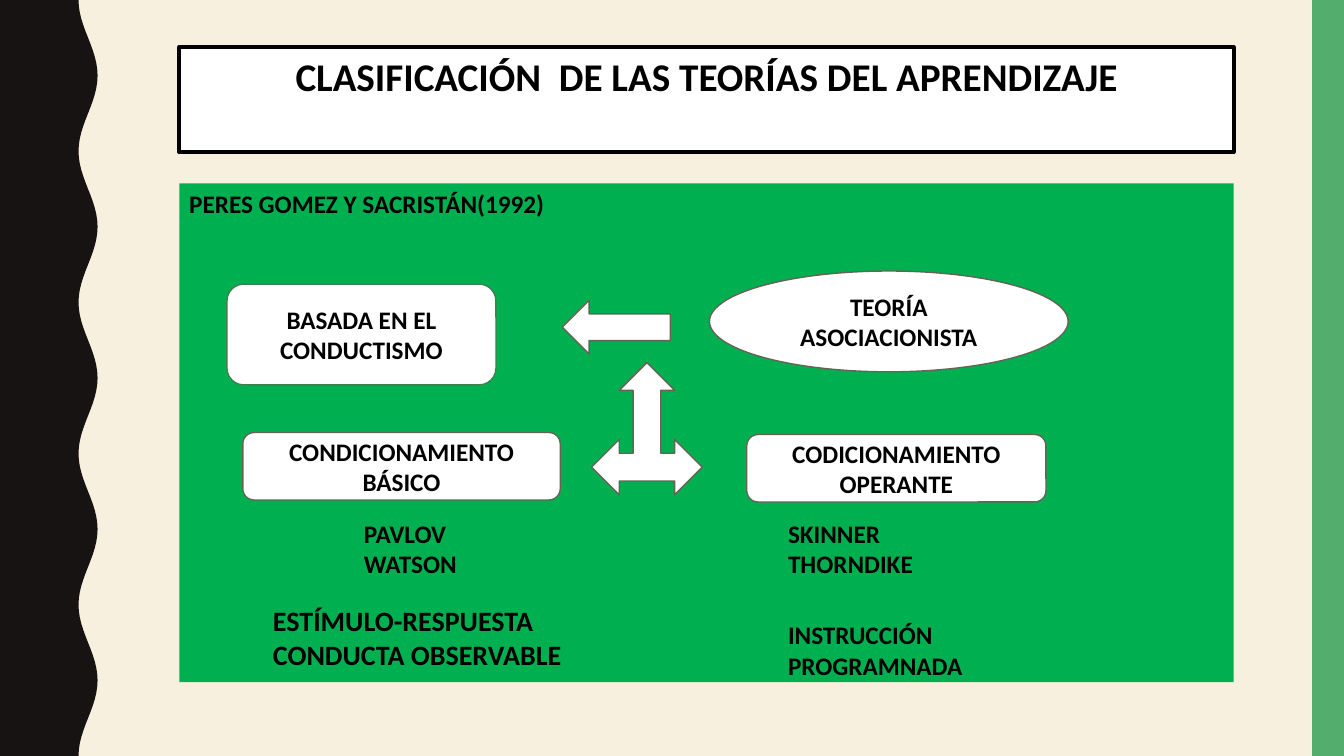
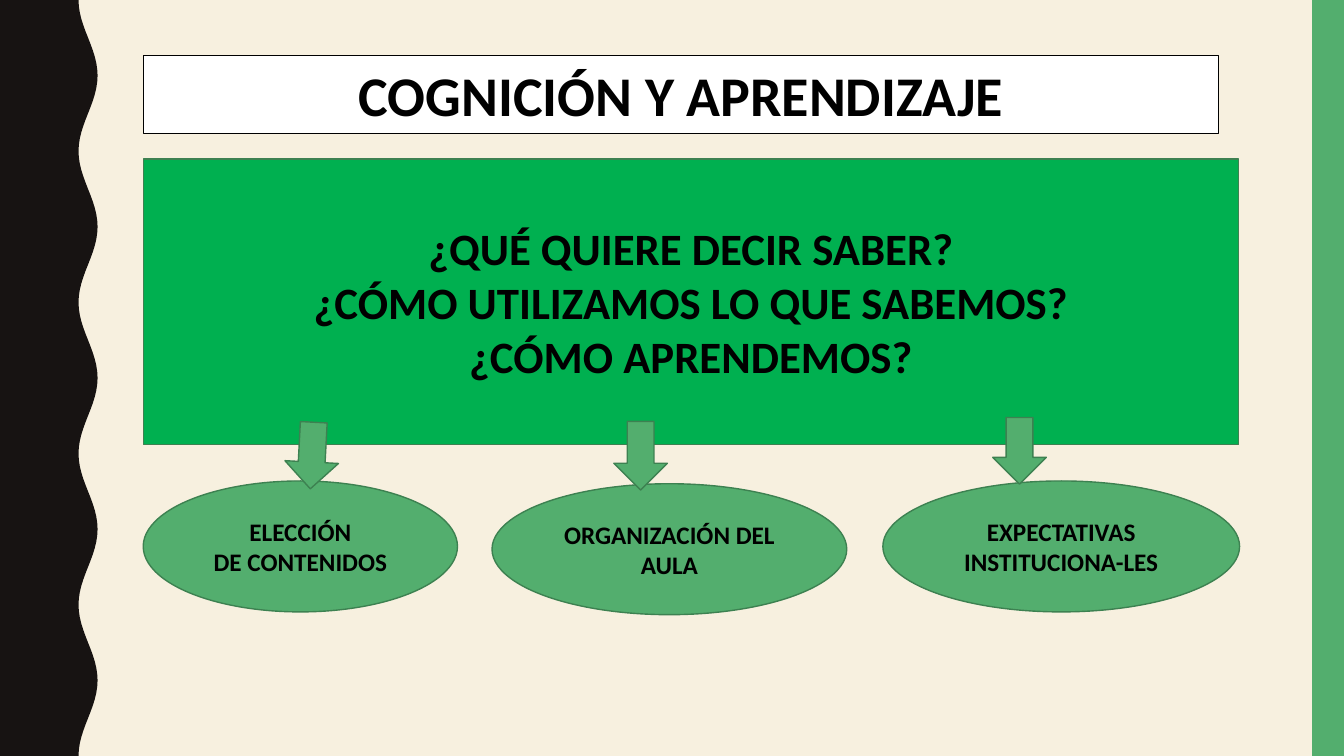
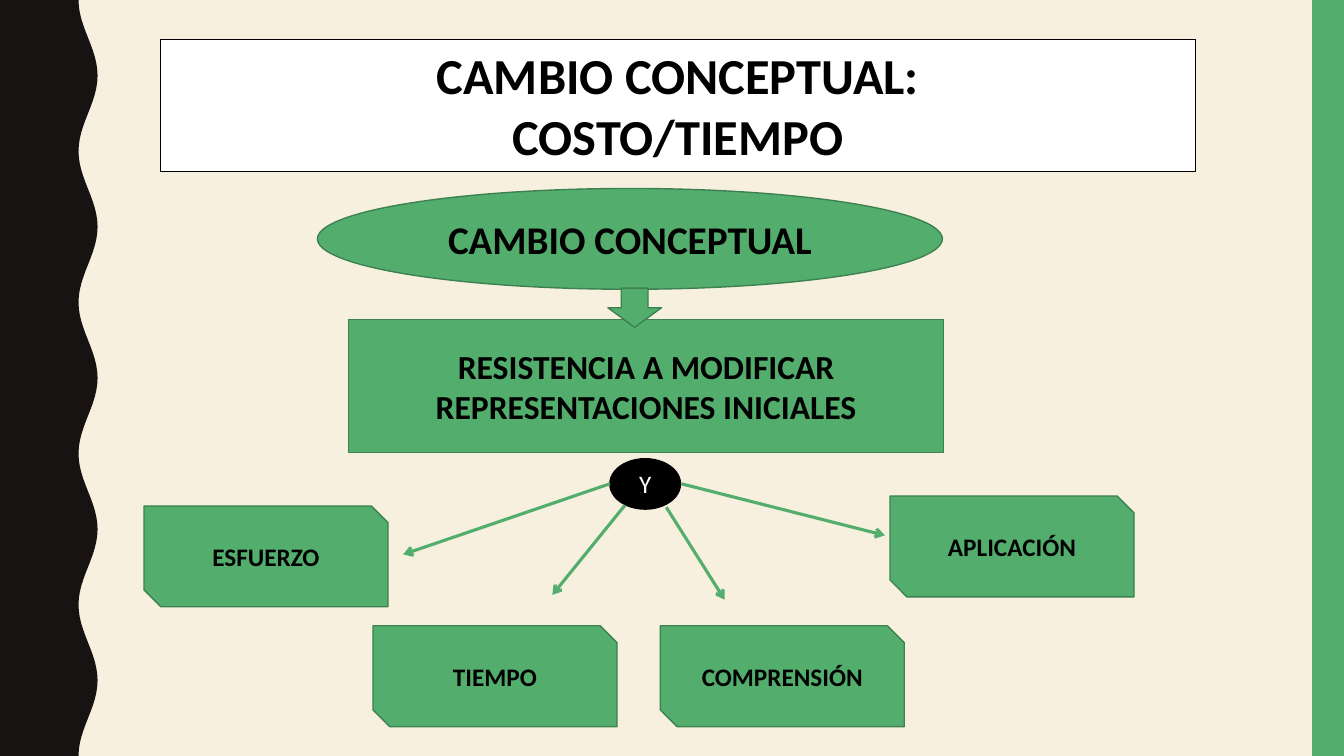
import math

import pptx
import pptx.dml.color
import pptx.enum.shapes
import pptx.enum.text
import pptx.oxml.ns
import pptx.util
from lxml import etree

Cm = pptx.util.Cm
Pt = pptx.util.Pt
RGBColor = pptx.dml.color.RGBColor
SHAPE = pptx.enum.shapes.MSO_SHAPE
ALIGN = pptx.enum.text.PP_ALIGN
ANCHOR = pptx.enum.text.MSO_ANCHOR
qn = pptx.oxml.ns.qn

# Shared look
CREAM = RGBColor(0xF7, 0xF0, 0xDF)
DARK = RGBColor(0x17, 0x13, 0x12)
BLACK = RGBColor(0, 0, 0)
WHITE = RGBColor(0xFF, 0xFF, 0xFF)
GREEN = RGBColor(0x53, 0xAE, 0x6E)
DARK_GREEN = RGBColor(0x3D, 0x81, 0x51)
PANEL_GREEN = RGBColor(0x00, 0xB0, 0x50)
OLIVE = RGBColor(0x63, 0x64, 0x55)

WIDTH, HEIGHT = 33.87, 19.05
TITLE_AND_BODY, TITLE_ONLY = 1, 5
FONT = {"name": "Calibri", "bold": True}
PARAGRAPH = {"line_spacing": 1.0, "space_before": Pt(0), "space_after": Pt(0)}
FRAME = {"word_wrap": True, "auto_size": pptx.enum.text.MSO_AUTO_SIZE.NONE}


def apply_format(target, values):
    for attribute, value in values.items():
        setattr(target, attribute, value)


def place(shape, box):
    apply_format(shape, dict(zip(("left", "top", "width", "height"), map(Cm, box))))


def paint(shape, fill, line=None, width=1):
    shape.fill.solid()
    shape.fill.fore_color.rgb = fill
    if line is None:
        shape.line.fill.background()
    else:
        shape.line.color.rgb = line
        shape.line.width = Pt(width)


def write(shape, text, size, align=ALIGN.CENTER, anchor=ANCHOR.MIDDLE, color=BLACK, bold=True):
    frame = shape.text_frame
    frame.text = text
    apply_format(frame, {**FRAME, "vertical_anchor": anchor})
    for paragraph in frame.paragraphs:
        apply_format(paragraph, {**PARAGRAPH, "alignment": align})
        for run in paragraph.runs:
            apply_format(run.font, {**FONT, "size": Pt(size), "bold": bold})
            run.font.color.rgb = color


def add_figure(slide, kind, box, text="", size=18, fill=GREEN, line=DARK_GREEN,
               rotation=0, **text_format):
    figure = slide.shapes.add_shape(kind, *map(Cm, box))
    figure.shadow.inherit = False
    figure.rotation = rotation
    paint(figure, fill, line)
    if text:
        write(figure, text, size, **text_format)
    return figure


def add_note(slide, box, text, size=18):
    note = slide.shapes.add_textbox(*map(Cm, box))
    write(note, text, size, align=ALIGN.LEFT, anchor=ANCHOR.TOP)


def add_arrow_line(slide, start, end):
    arrow = slide.shapes.add_connector(
        pptx.enum.shapes.MSO_CONNECTOR.STRAIGHT, *map(Cm, start + end))
    arrow.line.color.rgb = GREEN
    arrow.line.width = Pt(2.25)
    properties = arrow.element.spPr
    etree.SubElement(properties.find(qn("a:ln")), qn("a:tailEnd"), type="arrow")
    etree.SubElement(properties, qn("a:effectLst"))


def add_titled_slide(deck, layout, title, box, size, border=0.75):
    slide = deck.slides.add_slide(deck.slide_layouts[layout])
    heading = slide.shapes.title
    place(heading, box)
    paint(heading, WHITE, BLACK, border)
    write(heading, title, size, anchor=ANCHOR.TOP)
    return slide


def fill_body(slide, box, text, size):
    body = slide.placeholders[1]
    place(body, box)
    paint(body, PANEL_GREEN, DARK_GREEN)
    write(body, text, size)
    for paragraph in body.text_frame.paragraphs:
        properties = paragraph._p.get_or_add_pPr()
        properties.set("marL", "0")
        properties.set("indent", "0")
        etree.SubElement(properties, qn("a:buNone"))


def decorate_master(deck, slide):
    """Draw the wavy band and the side bar, then move them to the master."""
    master = deck.slide_master
    master.background.fill.solid()
    master.background.fill.fore_color.rgb = CREAM

    # Five waves of equal height along the band's right edge
    waves, steps, middle, swing = 5, 24, 2.22, 0.24
    count = waves * steps
    edge = [(Cm(middle - swing * math.cos(2 * math.pi * i / steps)), Cm(HEIGHT * i / count))
            for i in range(count + 1)]
    outline = slide.shapes.build_freeform(0, 0)
    outline.add_line_segments(edge + [(0, Cm(HEIGHT))], close=True)
    band = outline.convert_to_shape()
    band.shadow.inherit = False
    paint(band, DARK)

    bar = add_figure(slide, SHAPE.RECTANGLE, (33.07, 0, 0.8, HEIGHT), line=None)
    for position, part in enumerate((band, bar), start=2):
        master.shapes.element.insert(position, part.element)


def build_theories(deck):
    slide = add_titled_slide(deck, TITLE_ONLY, "CLASIFICACIÓN  DE LAS TEORÍAS DEL APRENDIZAJE",
                             (4.52, 1.19, 26.57, 2.64), 28, border=3)
    add_figure(slide, SHAPE.RECTANGLE, (4.52, 4.62, 26.57, 12.57),
               "PERES GOMEZ Y SACRISTÁN(1992)", fill=PANEL_GREEN, line=None,
               align=ALIGN.LEFT, anchor=ANCHOR.TOP)

    # Theories and kinds of conditioning
    process = SHAPE.FLOWCHART_ALTERNATE_PROCESS
    for kind, box, text, line in (
        (SHAPE.OVAL, (17.88, 6.83, 9.04, 2.54), "TEORÍA\nASOCIACIONISTA", OLIVE),
        (SHAPE.ROUNDED_RECTANGLE, (5.72, 7.16, 6.78, 2.54), "BASADA EN EL CONDUCTISMO",
         DARK_GREEN),
        (process, (6.12, 10.9, 8, 1.7), "CONDICIONAMIENTO\nBÁSICO", OLIVE),
        (process, (18.82, 10.95, 7.54, 1.7), "CODICIONAMIENTO OPERANTE", OLIVE),
    ):
        add_figure(slide, kind, box, text, fill=WHITE, line=line)

    # Authors and ideas
    add_note(slide, (8.92, 12.93, 3.58, 1.8), "PAVLOV\nWATSON")
    add_note(slide, (19.61, 12.93, 4.65, 1.8), "SKINNER\nTHORNDIKE")
    add_note(slide, (6.63, 15.09, 10.01, 1.96), "ESTÍMULO-RESPUESTA\nCONDUCTA OBSERVABLE", 20)
    add_note(slide, (19.61, 15.49, 5.94, 1.8), "INSTRUCCIÓN\nPROGRAMNADA")

    # Arrows between them
    add_figure(slide, SHAPE.RIGHT_ARROW, (14.17, 7.57, 2.72, 1.35), fill=WHITE, line=OLIVE,
               rotation=180)
    add_figure(slide, SHAPE.LEFT_RIGHT_UP_ARROW, (14.91, 9.14, 2.79, 3.33), fill=WHITE,
               line=OLIVE)
    return slide


def build_cognition(deck):
    slide = add_titled_slide(deck, TITLE_AND_BODY, "COGNICIÓN Y APRENDIZAJE",
                             (3.61, 1.4, 27.1, 1.96), 40)
    fill_body(slide, (3.61, 4.01, 27.61, 7.19),
              "¿QUÉ QUIERE DECIR SABER?\n¿CÓMO UTILIZAMOS LO QUE SABEMOS?\n¿CÓMO APRENDEMOS?", 32)

    # Consequences
    for left, top, width, text in (
        (3.61, 12.12, 7.92, "ELECCIÓN\nDE CONTENIDOS"),
        (12.4, 12.19, 8.94, "ORGANIZACIÓN DEL AULA"),
        (22.25, 12.12, 8.99, "EXPECTATIVAS INSTITUCIONA-LES"),
    ):
        add_figure(slide, SHAPE.OVAL, (left, top, width, 3.3), text)

    # Arrows from the questions
    for left, top, height, rotation in (
        (7.19, 10.64, 1.68, 3), (25.02, 10.52, 1.68, 0), (15.47, 10.62, 1.73, 0),
    ):
        add_figure(slide, SHAPE.DOWN_ARROW, (left, top, 1.35, height), rotation=rotation)


def build_change(deck):
    slide = add_titled_slide(deck, TITLE_ONLY, "CAMBIO CONCEPTUAL:\nCOSTO/TIEMPO",
                             (4.04, 0.99, 26.09, 3.33), 36)

    # Change and the resistance to it
    add_figure(slide, SHAPE.RECTANGLE, (8.79, 8.05, 14.99, 3.35),
               "RESISTENCIA A MODIFICAR REPRESENTACIONES INICIALES", 24)
    add_figure(slide, SHAPE.OVAL, (8, 4.75, 15.75, 2.54), "CAMBIO CONCEPTUAL", 28)
    add_figure(slide, SHAPE.DOWN_ARROW, (15.32, 7.26, 1.35, 0.99))

    # Costs
    for left, top, cost in (
        (3.63, 12.75, "ESFUERZO"), (9.4, 15.77, "TIEMPO"),
        (22.43, 12.5, "APLICACIÓN"), (16.64, 15.77, "COMPRENSIÓN"),
    ):
        add_figure(slide, SHAPE.SNIP_2_DIAG_RECTANGLE, (left, top, 6.15, 2.54), cost)

    # Hub and its arrows
    add_figure(slide, SHAPE.FLOWCHART_CONNECTOR, (15.37, 11.56, 1.78, 1.27), "Y",
               fill=BLACK, line=BLACK, color=WHITE, bold=False)
    for start, end in (
        ((15.37, 12.19), (10.16, 13.97)), ((16.79, 12.78), (18.26, 15.11)),
        ((15.75, 12.73), (13.92, 14.99)), ((17.17, 12.19), (22.3, 13.49)),
    ):
        add_arrow_line(slide, start, end)


def main():
    deck = pptx.Presentation()
    apply_format(deck, {"slide_width": Cm(WIDTH), "slide_height": Cm(HEIGHT)})
    theories = build_theories(deck)
    decorate_master(deck, theories)
    build_cognition(deck)
    build_change(deck)
    deck.save("out.pptx")


main()
